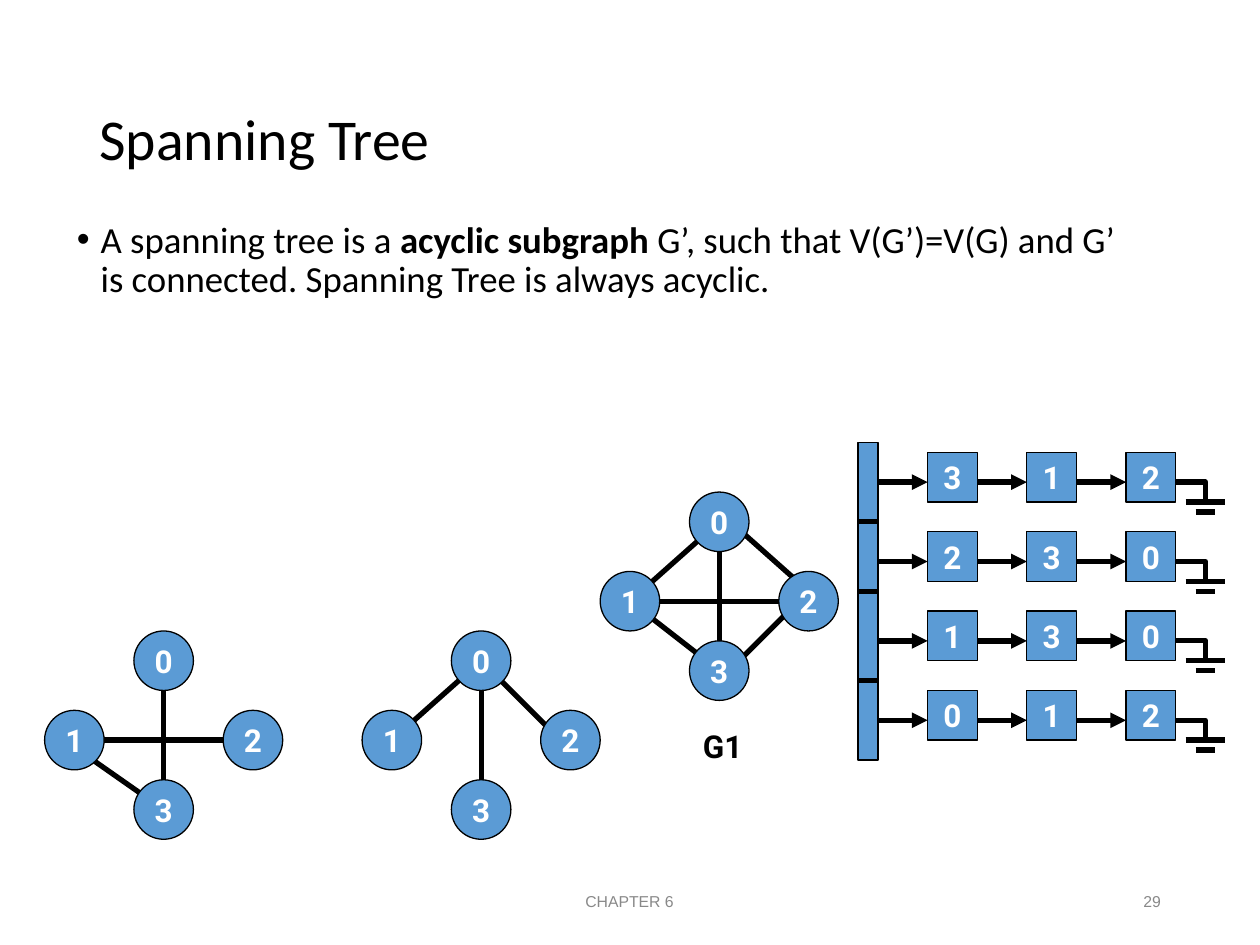
from lxml import etree
from pptx import Presentation
from pptx import util as u
from pptx.dml.color import RGBColor
from pptx.enum import shapes, text
from pptx.oxml import ns

BLACK = RGBColor(0x00, 0x00, 0x00)
WHITE = RGBColor(0xFF, 0xFF, 0xFF)
GREY = RGBColor(0x89, 0x89, 0x89)
BLUE = RGBColor(0x5B, 0x9B, 0xD5)

TITLE_FONT = {"name": "Calibri", "size": u.Pt(33), "color": BLACK}
BODY_FONT = {"name": "Calibri", "size": u.Pt(21), "color": BLACK}
FOOTER_FONT = {"name": "Arial", "size": u.Pt(9), "color": GREY}
NODE_FONT = {"name": "Roboto", "size": u.Pt(18), "bold": True, "color": WHITE}
LABEL_FONT = NODE_FONT | {"color": BLACK}

NODE_SIZE = 1.2
NODE_OFFSETS = [(0, 0), (-1.8, 1.6), (1.8, 1.6), (0, 3)]

LEFT_TREE = [((0, 0.2), (0, 2.8)), ((0, 3), (-2, 1.6)), ((-1.8, 1.6), (1.6, 1.6))]
MIDDLE_TREE = [((0, 0), (0, 3)), ((0, 0), (-1.8, 1.6)), ((0, 0), (1.8, 1.8))]
FULL_GRAPH = [
    ((0, 0), (0, 3)), ((-1.8, 1.6), (1.8, 1.6)), ((0, 0), (-1.8, 1.6)),
    ((-1.8, 1.6), (0, 3)), ((0, -0.2), (1.8, 1.4)), ((1.8, 1.4), (0.2, 3)),
]

NEIGHBOURS = ["312", "230", "130", "012"]
BAR_LEFT, BAR_TOP, BAR_WIDTH, BAR_HEIGHT = 17.3, 8.92, 0.4, 6.4
BAR_DIVIDERS = [1.6, 3, 4.8]
CELL_SIZE, CELL_PITCH, ROW_PITCH = 1, 2, 1.6


def set_format(target, values):
    for name, value in values.items():
        setattr(target, name, value)


def add_span(para, words, font):
    span = para.add_run()
    span.text = words
    set_format(span.font, {key: value for key, value in font.items() if key != "color"})
    span.font.color.rgb = font["color"]


def add_text(layer, frame, words, font, alignment, **frame_format):
    box = layer.add_textbox(*map(u.Cm, frame))
    set_format(box.text_frame, {"word_wrap": True} | frame_format)
    para = box.text_frame.paragraphs[0]
    para.alignment = alignment
    add_span(para, words, font)
    return para


def add_block(layer, kind, frame, words=""):
    block = layer.add_shape(kind, *map(u.Cm, frame))
    block.shadow.inherit = False
    block.fill.solid()
    block.fill.fore_color.rgb = BLUE
    block.line.color.rgb = BLACK
    block.line.width = u.Pt(0.75)
    if words:
        set_format(block.text_frame, {
            "word_wrap": False, "vertical_anchor": text.MSO_ANCHOR.MIDDLE})
        para = block.text_frame.paragraphs[0]
        para.alignment = text.PP_ALIGN.CENTER
        add_span(para, words, NODE_FONT)


def add_line(layer, start, end, arrow=False):
    line = layer.add_connector(
        shapes.MSO_CONNECTOR.STRAIGHT, *map(u.Cm, (*start, *end)))
    line.line.color.rgb = BLACK
    line.line.width = u.Pt(3)
    if arrow:
        etree.SubElement(line.line._get_or_add_ln(), ns.qn("a:tailEnd"), type="triangle")
    etree.SubElement(line._element.spPr, ns.qn("a:effectLst"))


def add_bend(layer, points):
    start, *others = [tuple(map(u.Cm, point)) for point in points]
    builder = layer.build_freeform(*start)
    builder.add_line_segments(others, close=False)
    bend = builder.convert_to_shape()
    bend.shadow.inherit = False
    bend.fill.background()
    bend.line.color.rgb = BLACK
    bend.line.width = u.Pt(3)


def add_graph(layer, x, y, edges):
    for (x1, y1), (x2, y2) in edges:
        add_line(layer, (x + x1, y + y1), (x + x2, y + y2))
    for number, (dx, dy) in enumerate(NODE_OFFSETS):
        corner = (x + dx - NODE_SIZE / 2, y + dy - NODE_SIZE / 2)
        add_block(layer, shapes.MSO_SHAPE.OVAL,
                  (*corner, NODE_SIZE, NODE_SIZE), str(number))


def add_ground(layer, x, y):
    add_bend(layer, [(x, y), (x + 0.6, y), (x + 0.6, y + 0.4)])
    add_line(layer, (x + 0.2, y + 0.4), (x + 1, y + 0.4))
    add_line(layer, (x + 0.4, y + 0.6), (x + 0.8, y + 0.6))


def add_adjacency_list(layer):
    bar_right = BAR_LEFT + BAR_WIDTH
    add_block(layer, shapes.MSO_SHAPE.RECTANGLE,
              (BAR_LEFT, BAR_TOP, BAR_WIDTH, BAR_HEIGHT))
    for offset in BAR_DIVIDERS:
        add_line(layer, (BAR_LEFT, BAR_TOP + offset), (bar_right, BAR_TOP + offset))
    for row, numbers in enumerate(NEIGHBOURS):
        top = BAR_TOP + 0.2 + row * ROW_PITCH
        link = top + 0.6
        for column, number in enumerate(numbers):
            arrow_left = bar_right + column * CELL_PITCH
            left = arrow_left + CELL_PITCH - CELL_SIZE
            add_block(layer, shapes.MSO_SHAPE.RECTANGLE,
                      (left, top, CELL_SIZE, CELL_SIZE), number)
            add_line(layer, (arrow_left, link), (left, link), arrow=True)
        add_ground(layer, bar_right + len(numbers) * CELL_PITCH, link)


def add_title(page, words):
    title = page.shapes.title
    set_format(title, {"left": u.Cm(1.75), "top": u.Cm(1.02),
                       "width": u.Cm(21.92), "height": u.Cm(3.68)})
    set_format(title.text_frame, {
        "vertical_anchor": text.MSO_ANCHOR.MIDDLE, "auto_size": text.MSO_AUTO_SIZE.NONE})
    para = title.text_frame.paragraphs[0]
    set_format(para, {"alignment": text.PP_ALIGN.LEFT, "line_spacing": 0.9})
    add_span(para, words, TITLE_FONT)


def add_definition(page):
    para = add_text(page.shapes, (1.3, 4.34, 21.92, 12.09),
                    "A spanning tree is a ", BODY_FONT, text.PP_ALIGN.LEFT)
    add_span(para, "acyclic subgraph ", BODY_FONT | {"bold": True})
    add_span(para, "G’, such that V(G’)=V(G) and G’ is connected. "
                   "Spanning Tree is always acyclic.", BODY_FONT)
    set_format(para, {"line_spacing": 0.9, "space_before": u.Pt(7.5)})
    indent = u.Cm(0.48)
    properties = para._p.get_or_add_pPr()
    properties.set("marL", str(indent))
    properties.set("indent", str(-indent))
    etree.SubElement(properties, ns.qn("a:buFont"), typeface="Arial")
    etree.SubElement(properties, ns.qn("a:buChar"), char="•")


def main():
    deck = Presentation()
    set_format(deck, {"slide_width": u.Cm(25.4), "slide_height": u.Cm(19.05)})
    page = deck.slides.add_slide(deck.slide_layouts.get_by_name("Title Only"))
    add_title(page, "Spanning Tree")
    add_definition(page)
    middle = text.MSO_ANCHOR.MIDDLE
    add_text(page.shapes, (8.41, 17.65, 8.56, 1.02), "CHAPTER 6", FOOTER_FONT,
             text.PP_ALIGN.CENTER, vertical_anchor=middle)
    add_text(page.shapes, (17.93, 17.65, 5.72, 1.02), "29", FOOTER_FONT,
             text.PP_ALIGN.RIGHT, vertical_anchor=middle)
    add_adjacency_list(page.shapes.add_group_shape().shapes)
    graph = page.shapes.add_group_shape().shapes
    add_graph(graph, 14.5, 10.52, FULL_GRAPH)
    add_text(graph, (13.92, 14.53, 1.32, 1.02), "G1", LABEL_FONT,
             text.PP_ALIGN.LEFT, word_wrap=False)
    add_graph(page.shapes, 3.3, 13.32, LEFT_TREE)
    add_graph(page.shapes, 9.7, 13.32, MIDDLE_TREE)
    deck.save("out.pptx")


if __name__ == "__main__":
    main()
